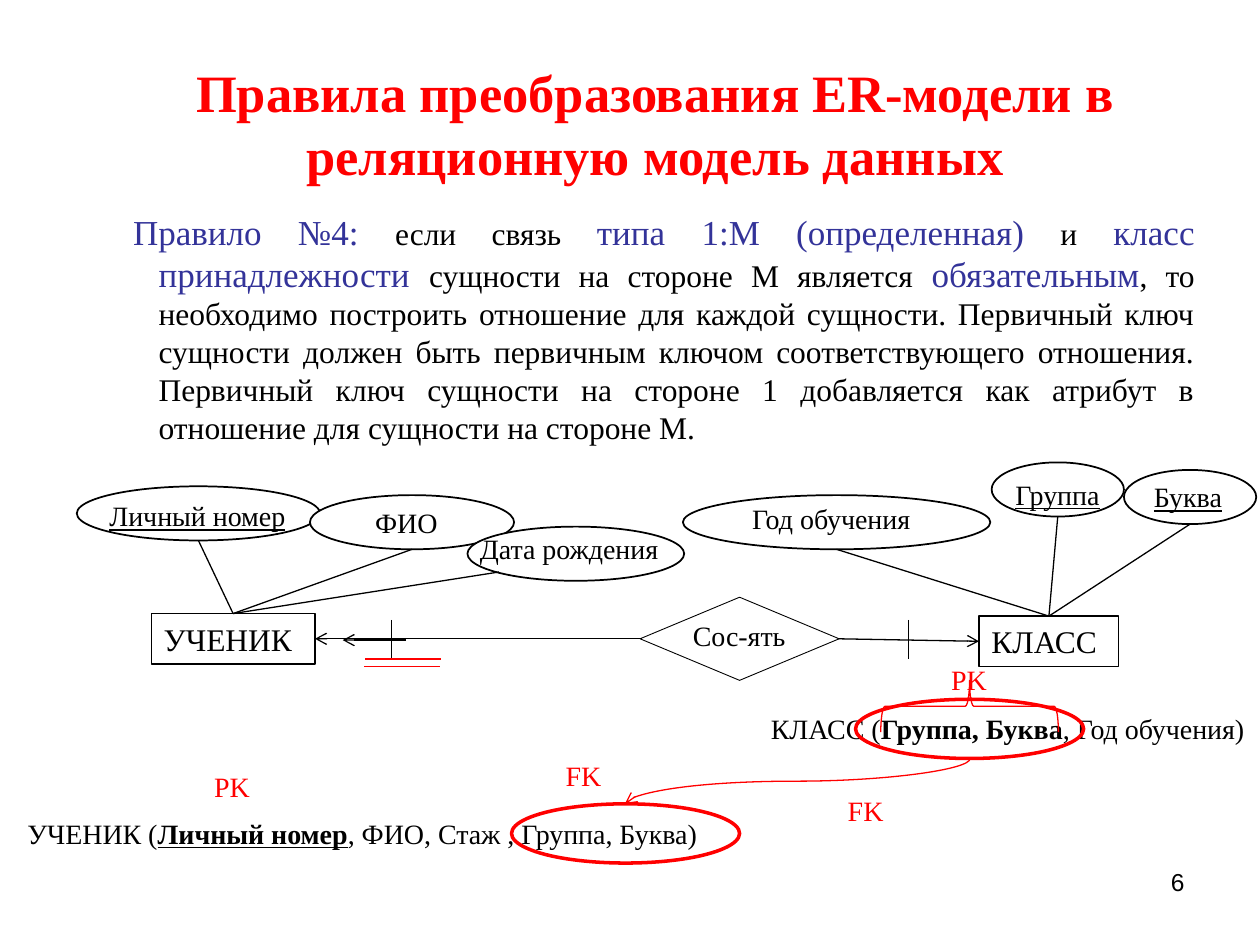
from lxml import etree
from pptx import Presentation
from pptx.dml.color import RGBColor
from pptx.enum import shapes, text
from pptx.oxml import ns
from pptx.util import Inches, Pt

BLACK, RED, BLUE, WHITE = "000000", "FF0000", "333399", "FFFFFF"
SERIF = "Times New Roman"
TITLE = "Правила преобразования ER-модели в реляционную модель данных"

# Runs: text, size, colour, style letters (b = bold, u = underlined)
RULE = [
    (" Правило №4: ", 20, BLUE, ""),
    ("если связь ", 18, BLACK, ""),
    ("типа 1:М (определенная) ", 20, BLUE, ""),
    ("и", 18, BLACK, ""),
    (" класс принадлежности ", 20, BLUE, ""),
    ("сущности на стороне M является ", 18, BLACK, ""),
    ("обязательным", 20, BLUE, ""),
    (", то необходимо построить отношение для каждой сущности. "
     "Первичный ключ сущности должен быть первичным ключом соответствующего "
     "отношения. Первичный ключ сущности на стороне 1 добавляется как атрибут "
     "в отношение для сущности на стороне M.", 18, BLACK, ""),
]

# Entities: name, left, top, width
ENTITIES = [("УЧЕНИК", 1.2, 4.87, 1.3), ("КЛАСС", 7.77, 4.89, 1.11)]
ENTITY_HEIGHT = 0.4

# Attributes: name, style, entity index, ellipse (left, top, width),
# label (left, top, width), start of the link where it is not the bottom point
ATTRIBUTES = [
    ("Личный номер", "u", 0, (0.61, 3.86, 1.93), (0.77, 3.91, 1.77), None),
    ("ФИО", "", 0, (2.46, 3.93, 1.62), (2.56, 3.96, 1.33), None),
    ("Дата рождения", "", 0, (3.71, 4.18, 1.72), (3.71, 4.17, 1.72), (3.96, 4.54)),
    ("Группа", "u", 1, (7.87, 3.67, 1.05), (7.96, 3.74, 0.88), None),
    ("Буква", "u", 1, (8.92, 3.73, 1.05), (9.06, 3.76, 0.88), None),
    ("Год обучения", "", 1, (5.42, 3.93, 2.44), (5.87, 3.93, 1.82), None),
]
ELLIPSE_HEIGHT, LABEL_HEIGHT = 0.43, 0.37

# Lines: from, to, colour, arrow
RELATION_LINES = [
    ((6.65, 5.07), (7.77, 5.09), BLACK, True),
    ((5.08, 5.07), (2.5, 5.07), BLACK, True),
    ((3.22, 5.08), (2.72, 5.08), BLACK, True),
    ((3.11, 4.92), (3.11, 5.23), BLACK, False),
    ((7.21, 4.92), (7.21, 5.23), BLACK, False),
    ((2.9, 5.23), (3.5, 5.23), RED, False),
    ((2.89, 5.29), (3.49, 5.29), RED, False),
]

# Relations: left, top, width, runs
RELATIONS = [
    (0.12, 6.43, 5.67, [("УЧЕНИК (", 16, BLACK, ""),
                        ("Личный номер", 16, BLACK, "bu"),
                        (", ФИО, Стаж , Группа, Буква)", 16, BLACK, "")]),
    (6.02, 5.6, 4.1, [("КЛАСС (", 16, BLACK, ""),
                      ("Группа, Буква", 16, BLACK, "b"),
                      (", Год обучения)", 16, BLACK, "")]),
]
KEYS = [("PK", 7.45, 5.21, 0.49), ("PK", 1.6, 6.06, 0.49),
        ("FK", 6.63, 6.25, 0.57), ("FK", 4.39, 5.97, 0.57)]
KEY_RINGS = [(4.06, 6.38), (6.79, 5.55)]


def colour(value):
    return RGBColor.from_string(value)


def write(shape, runs, align=text.PP_ALIGN.JUSTIFY, hang=0.29, font=SERIF):
    """Fill the shape with one paragraph that has a hanging indent."""
    frame = shape.text_frame
    frame.word_wrap = True
    para = frame.paragraphs[0]
    para.alignment = align
    if hang:
        props = para._p.get_or_add_pPr()
        props.set("marL", str(Inches(hang)))
        props.set("indent", str(-Inches(hang)))
    for words, size, tint, style in runs:
        span = para.add_run()
        span.text = words
        span.font.name = font
        span.font.size = Pt(size)
        span.font.color.rgb = colour(tint)
        span.font.bold = "b" in style
        span.font.underline = "u" in style


def add_text(page, left, top, width, height, runs, **options):
    box = page.shapes.add_textbox(*map(Inches, (left, top, width, height)))
    write(box, runs, **options)


def add_outline(page, kind, left, top, width, height, line=BLACK, weight=1, fill=None):
    shape = page.shapes.add_shape(kind, *map(Inches, (left, top, width, height)))
    shape.shadow.inherit = False
    if fill:
        shape.fill.solid()
        shape.fill.fore_color.rgb = colour(fill)
    else:
        shape.fill.background()
    shape.line.color.rgb = colour(line)
    shape.line.width = Pt(weight)
    return shape


def add_line(page, start, end, tint=BLACK, arrow=False,
             kind=shapes.MSO_CONNECTOR.STRAIGHT):
    line = page.shapes.add_connector(kind, *map(Inches, (*start, *end)))
    line.line.color.rgb = colour(tint)
    line.line.width = Pt(0.75)
    if arrow:
        etree.SubElement(line.line._get_or_add_ln(), ns.qn("a:tailEnd"), type="arrow")
    etree.SubElement(line._element.spPr, ns.qn("a:effectLst"))
    return line


def add_title(page):
    title = page.shapes.title
    title.left, title.top, title.width, title.height = map(Inches, (0.7, 0.55, 9, 0.85))
    title.text_frame.vertical_anchor = text.MSO_ANCHOR.MIDDLE
    write(title, [(TITLE, 30, RED, "b")], align=text.PP_ALIGN.CENTER, hang=0)


def add_entities(page):
    for name, left, top, width in ENTITIES:
        entity = add_outline(page, shapes.MSO_SHAPE.RECTANGLE, left, top, width,
                             ENTITY_HEIGHT, weight=0.75)
        entity.text_frame.vertical_anchor = text.MSO_ANCHOR.TOP
        write(entity, [(name, 18, BLACK, "")])


def add_attributes(page):
    for name, style, owner, (left, top, width), label, start in ATTRIBUTES:
        add_outline(page, shapes.MSO_SHAPE.OVAL, left, top, width, ELLIPSE_HEIGHT,
                    fill=WHITE)
        align = text.PP_ALIGN.CENTER if name == "ФИО" else text.PP_ALIGN.JUSTIFY
        add_text(page, *label, LABEL_HEIGHT, [(name, 16, BLACK, style)], align=align)
        _, entity_left, entity_top, entity_width = ENTITIES[owner]
        start = start or (left + width / 2, top + ELLIPSE_HEIGHT)
        add_line(page, start, (entity_left + entity_width / 2, entity_top))


def add_relationship(page):
    add_outline(page, shapes.MSO_SHAPE.DIAMOND, 5.08, 4.74, 1.58, 0.66, weight=0.5)
    add_text(page, 5.4, 4.86, 1.05, LABEL_HEIGHT, [("Сос-ять", 16, BLACK, "")])
    for line in RELATION_LINES:
        add_line(page, *line)


def add_relations(page):
    for left, top, width, runs in RELATIONS:
        add_text(page, left, top, width, LABEL_HEIGHT, runs)
    for name, left, top, width in KEYS:
        add_text(page, left, top, width, LABEL_HEIGHT, [(name, 16, RED, "")])
    brace = add_outline(page, shapes.MSO_SHAPE.RIGHT_BRACE, 7.49, 4.9, 0.41, 1.41,
                        line=RED, weight=0.75)
    brace.rotation = 270
    for left, top in KEY_RINGS:
        add_outline(page, shapes.MSO_SHAPE.OVAL, left, top, 1.81, 0.47,
                    line=RED, weight=2)
    # Quarter turn makes the curve leave and enter the rings vertically
    curve = add_line(page, (6.15, 4.83), (6.51, 7.57), RED, True,
                     shapes.MSO_CONNECTOR.CURVE)
    curve._element.spPr.find(ns.qn("a:xfrm")).set("rot", str(90 * 60000))


def main():
    deck = Presentation()
    deck.slide_width, deck.slide_height = Inches(10), Inches(7.5)
    page = deck.slides.add_slide(deck.slide_layouts[5])
    add_title(page)
    add_text(page, 0.67, 1.62, 8.91, 1.99, RULE, hang=0.49)
    add_entities(page)
    add_attributes(page)
    add_relationship(page)
    add_relations(page)
    add_text(page, 7.17, 6.83, 2.33, 0.52, [("6", 14, BLACK, "")],
             align=text.PP_ALIGN.RIGHT, hang=0, font="Arial")
    deck.save("out.pptx")


if __name__ == "__main__":
    main()
